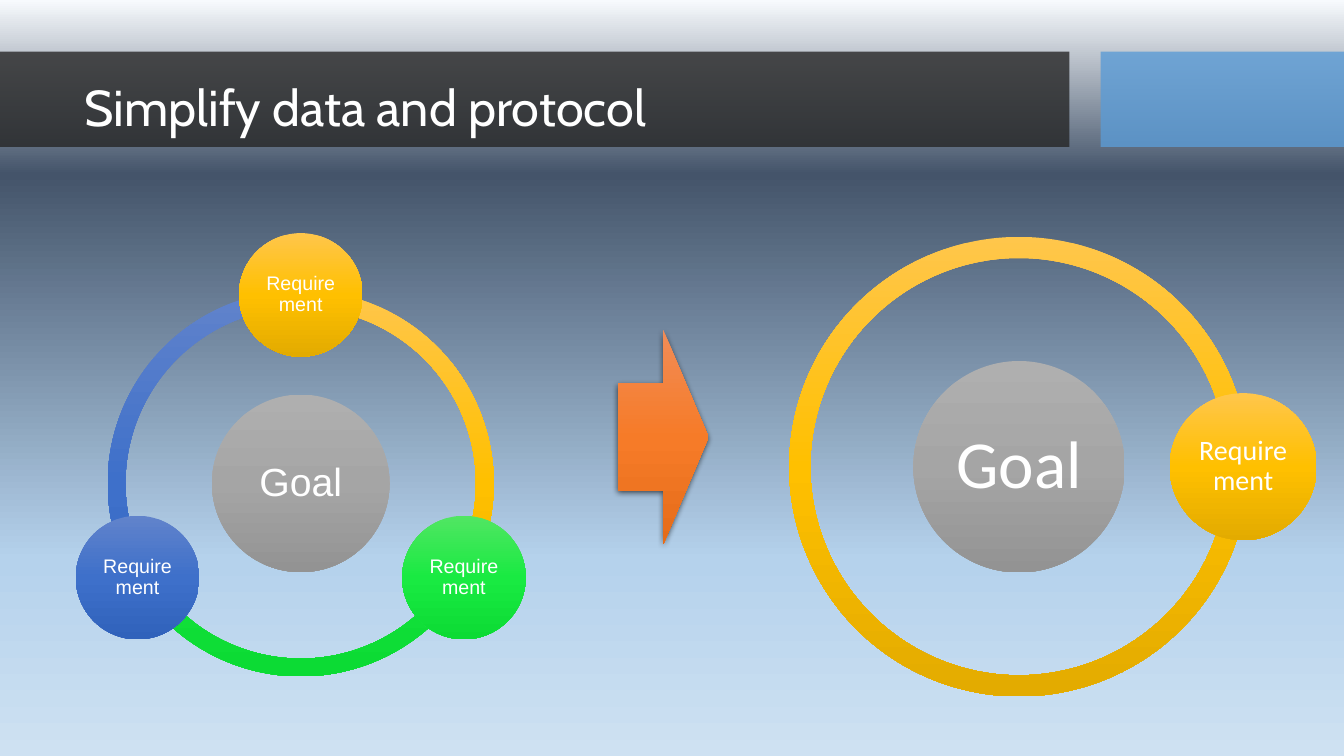
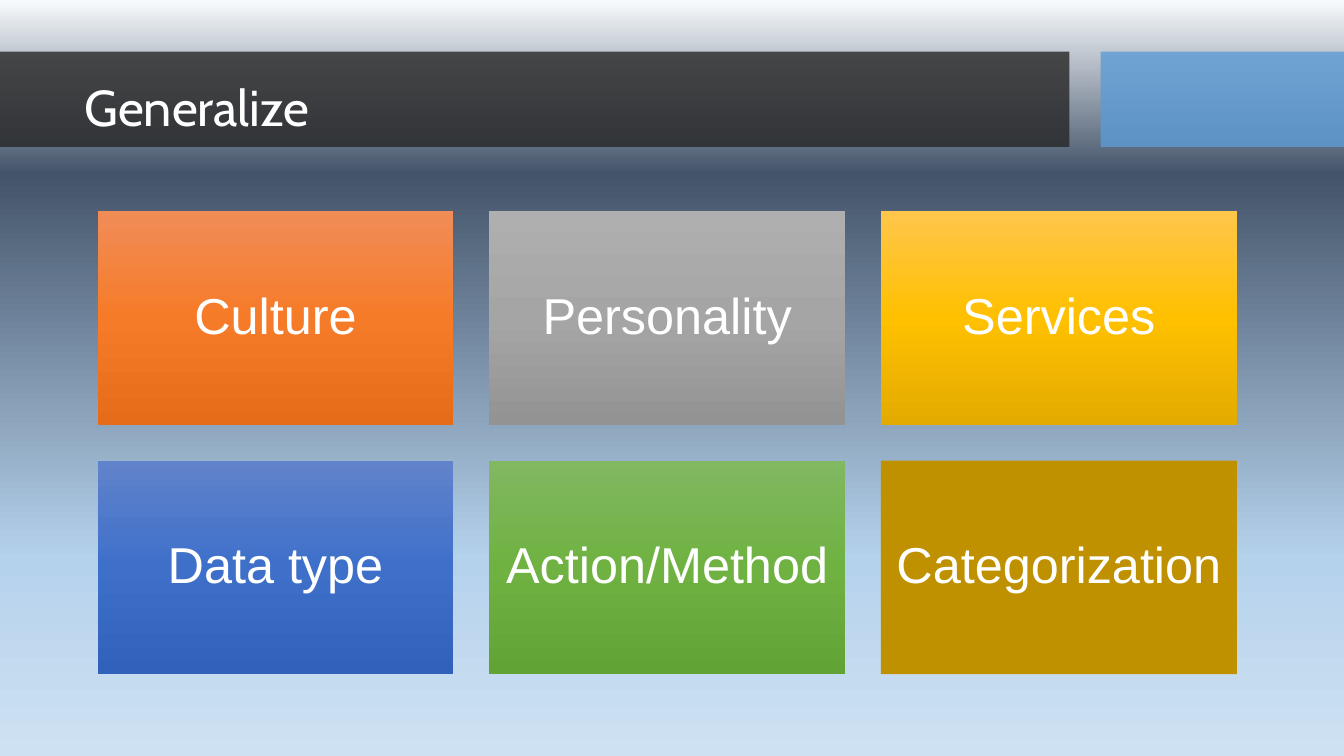
from math import cos, radians, sin

from lxml import etree
from pptx import Presentation
from pptx.dml.color import RGBColor
from pptx.enum.shapes import MSO_SHAPE
from pptx.enum.text import MSO_ANCHOR, PP_ALIGN
from pptx.oxml.ns import qn
from pptx.util import Cm, Pt

RECT, OVAL = MSO_SHAPE.RECTANGLE, MSO_SHAPE.OVAL
ARC, ARROW = MSO_SHAPE.BLOCK_ARC, MSO_SHAPE.RIGHT_ARROW
MIDDLE, LEFT, CENTER = MSO_ANCHOR.MIDDLE, PP_ALIGN.LEFT, PP_ALIGN.CENTER


def rgb(*codes):
    return [RGBColor.from_string(code) for code in codes]


# Colours: a list of three is a gradient from top to bottom
WHITE, CHARCOAL, SKY, BRONZE = rgb("FFFFFF", "262626", "5B9BD5", "BF9000")
ORANGE = rgb("F18C57", "F67B28", "E56C19")
GRAY = rgb("AFAFAF", "A5A5A5", "939393")
GOLD = rgb("FFC64B", "FFC000", "E3AB00")
BLUE = rgb("6183CB", "3E70CA", "3062BB")
LIME = rgb("51E663", "19EA42", "0CDB34")
GREEN = rgb("81B861", "6FB242", "62A336")
BACKDROP = rgb("F7FAFD", "44546A", "B5D2EC", "CEE1F2")
BACKDROP_STOPS = (0, 23, 74, 100)
SHAPE_STOPS = (0, 50, 100)

# Content (lengths in cm, angles in degrees clockwise from the right)
SLIDE_W, SLIDE_H = 33.87, 19.05
BAND_TOP, BAND_H, BAND_ALPHA = 1.3, 2.4, 80
BANDS = [(0, 26.95, CHARCOAL), (27.74, SLIDE_W - 27.74, SKY)]
RINGS = [
    dict(center=(7.58, 12.18), size=9.73, font="Arial", hub_pt=28, ball_pt=14,
         inset=0.05, first=270, colors=[GOLD, LIME, BLUE]),
    dict(center=(25.68, 11.76), size=11.58, font="Calibri", hub_pt=48, ball_pt=20,
         inset=0.08, first=0, colors=[GOLD]),
]
ARROW_BOX = (15.57, 8.31, 2.29, 5.41)
TILES = [("Culture", ORANGE), ("Personality", GRAY), ("Services", GOLD),
         ("Data type", BLUE), ("Action/Method", GREEN), ("Categorization", BRONZE)]
TILE_LEFT, TILE_TOP, TILE_W, TILE_H = 2.46, 5.33, 8.97, 5.38
TILE_GAP, TILE_COLS = 0.9, 3

# Ring proportions relative to its diameter
HUB, BALL, ORBIT, THICKNESS = 0.46, 0.32, 0.488, 0.046
ARC_TRIM = 0.16


def set_gradient(fill, owner, colors, stops):
    fill.gradient()
    fill.gradient_angle = 270
    gs_list = next(owner.iter(qn("a:gsLst")))
    for gs in list(gs_list):
        gs_list.remove(gs)
    for stop, color in zip(stops, colors):
        gs = etree.SubElement(gs_list, qn("a:gs"), pos=str(stop * 1000))
        etree.SubElement(gs, qn("a:srgbClr"), val=str(color))


def set_alpha(color_element, percent):
    etree.SubElement(color_element, qn("a:alpha"), val=str(percent * 1000))


def add_filled(s, kind, box, color):
    sp = s.shapes.add_shape(kind, *(Cm(v) for v in box))
    sp.shadow.inherit = False
    sp.line.fill.background()
    if isinstance(color, list):
        set_gradient(sp.fill, sp.element.spPr, color, SHAPE_STOPS)
    else:
        sp.fill.solid()
        sp.fill.fore_color.rgb = color
    return sp


def put_text(sp, text, size, font, align=CENTER, inset=None):
    tf = sp.text_frame
    tf.word_wrap = True
    tf.vertical_anchor = MIDDLE
    if inset is not None:
        tf.margin_left = tf.margin_right = Cm(inset)
        tf.margin_top = tf.margin_bottom = Cm(inset)
    p = tf.paragraphs[0]
    p.alignment = align
    p.line_spacing = 0.9
    r = p.add_run()
    r.text = text
    r.font.size = Pt(size)
    r.font.name = font
    r.font.color.rgb = WHITE


def square(cx, cy, size):
    return cx - size / 2, cy - size / 2, size, size


def add_base_slide(prs, title):
    s = prs.slides.add_slide(prs.slide_layouts[6])
    set_gradient(s.background.fill, s.element, BACKDROP, BACKDROP_STOPS)
    for left, width, color in BANDS:
        band = add_filled(s, RECT, (left, BAND_TOP, width, BAND_H), color)
        set_alpha(next(band.element.spPr.iter(qn("a:srgbClr"))), BAND_ALPHA)
    box = s.shapes.add_textbox(Cm(1.88), Cm(1.27), Cm(26.7), Cm(3))
    put_text(box, title, 36, "Cabin", LEFT)
    return s


def add_ring(s, center, size, font, hub_pt, ball_pt, inset, first, colors):
    cx, cy = center
    step = 360 / len(colors)
    angles = [first + i * step for i in range(len(colors))]
    # Each arc runs from its own ball to the next one
    for angle, color in zip(angles, colors):
        arc = add_filled(s, ARC, square(cx, cy, size), color)
        arc.adjustments[0] = (angle + ARC_TRIM) % 360 * 0.6
        arc.adjustments[1] = (angle + step - ARC_TRIM) % 360 * 0.6
        arc.adjustments[2] = THICKNESS
    hub = add_filled(s, OVAL, square(cx, cy, size * HUB), GRAY)
    put_text(hub, "Goal", hub_pt, font, inset=inset * 2)
    for angle, color in zip(angles, colors):
        x = cx + size * ORBIT * cos(radians(angle))
        y = cy + size * ORBIT * sin(radians(angle))
        ball = add_filled(s, OVAL, square(x, y, size * BALL), color)
        put_text(ball, "Requirement", ball_pt, font, inset=inset)


def add_arrow(s):
    arrow = add_filled(s, ARROW, ARROW_BOX, ORANGE)
    effects = arrow.element.spPr.find(qn("a:effectLst"))
    shadow = etree.SubElement(effects, qn("a:outerShdw"), blurRad=str(Pt(4.5)),
                              dist=str(Pt(1.5)), dir="5400000", rotWithShape="0")
    set_alpha(etree.SubElement(shadow, qn("a:srgbClr"), val="000000"), 63)


def add_tiles(s):
    for i, (label, color) in enumerate(TILES):
        row, col = divmod(i, TILE_COLS)
        left = TILE_LEFT + col * (TILE_W + TILE_GAP)
        top = TILE_TOP + row * (TILE_H + TILE_GAP)
        tile = add_filled(s, RECT, (left, top, TILE_W, TILE_H), color)
        put_text(tile, label, 36, "Arial", inset=0.35)


def main():
    prs = Presentation()
    prs.slide_width, prs.slide_height = Cm(SLIDE_W), Cm(SLIDE_H)

    # Two rings joined by an arrow
    s = add_base_slide(prs, "Simplify data and protocol")
    add_arrow(s)
    for ring in RINGS:
        add_ring(s, **ring)

    # Grid of tiles
    add_tiles(add_base_slide(prs, "Generalize"))

    prs.save("out.pptx")


if __name__ == "__main__":
    main()
